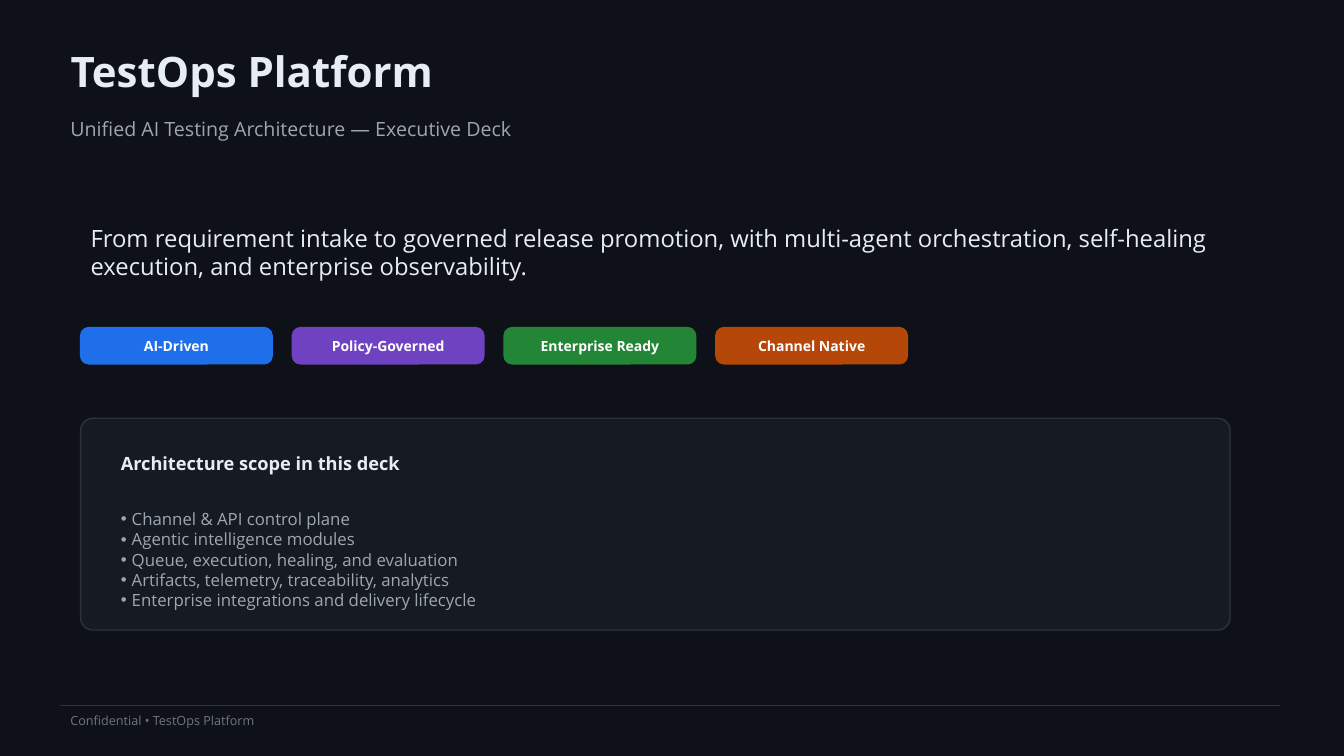
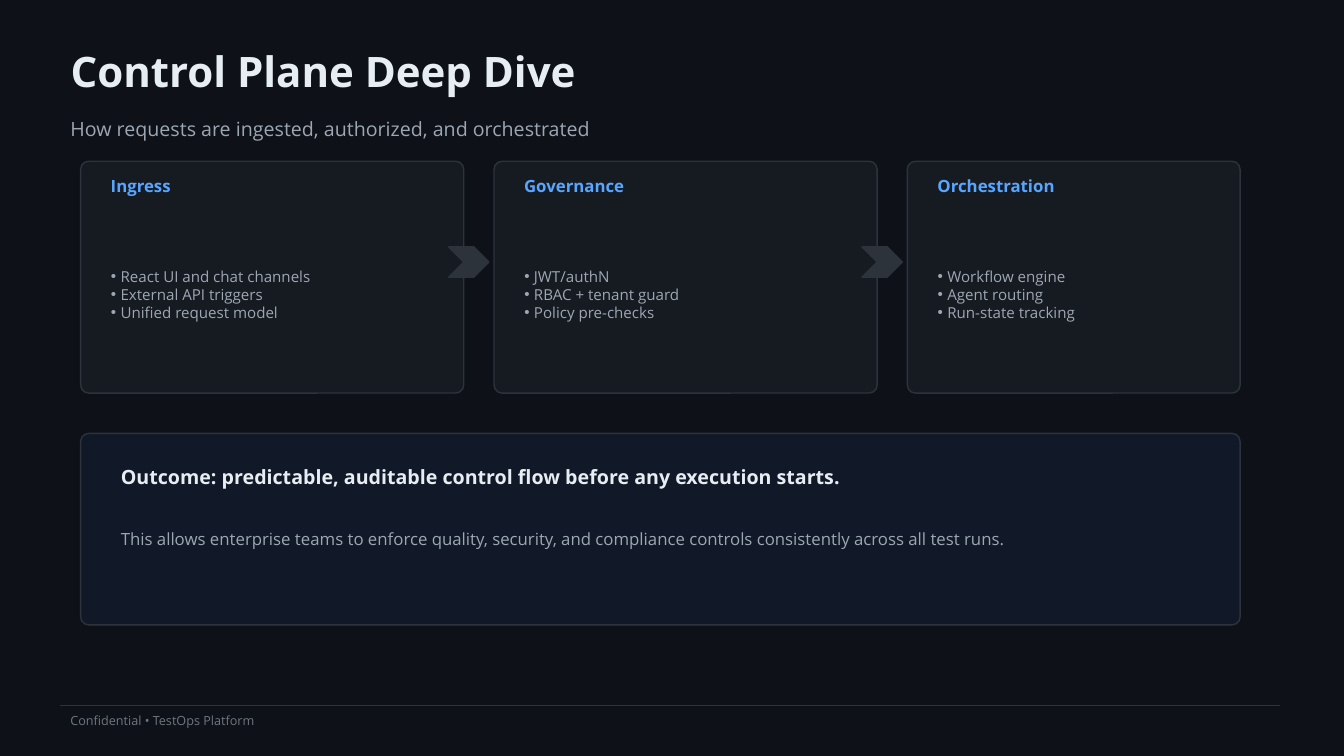
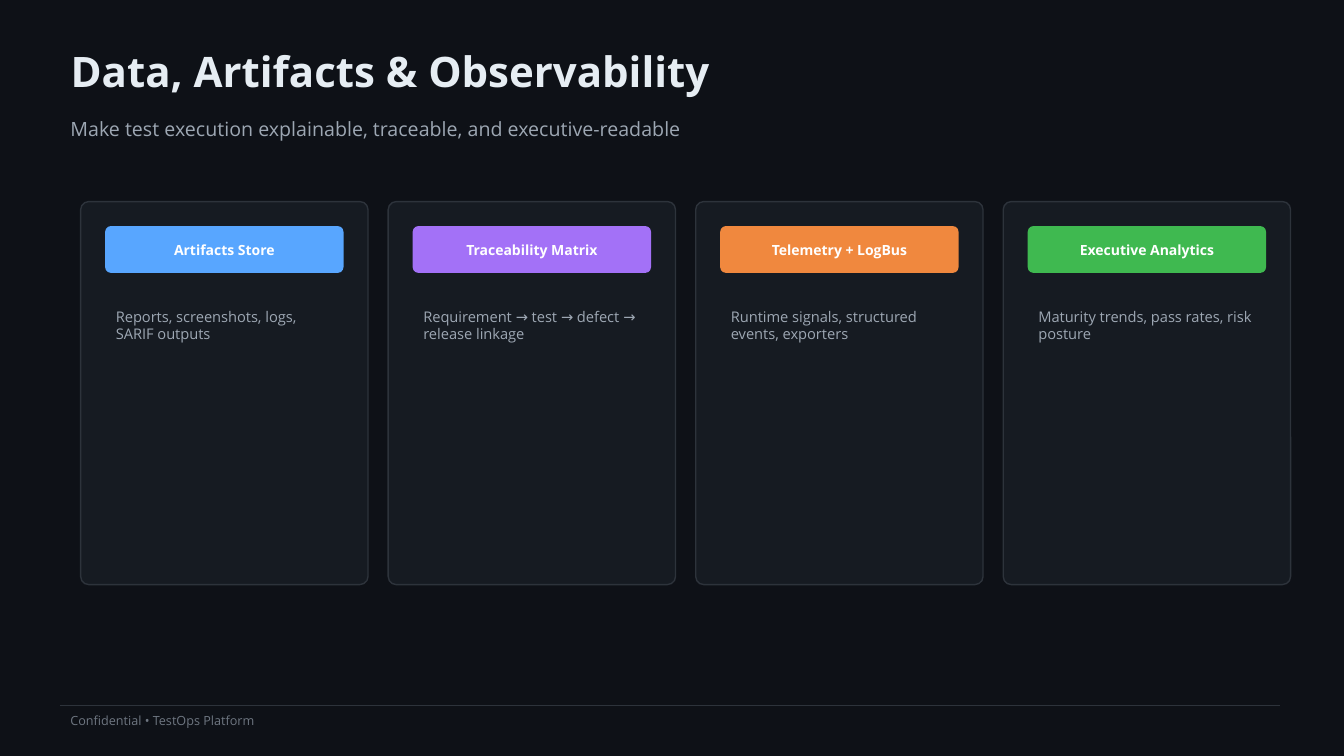
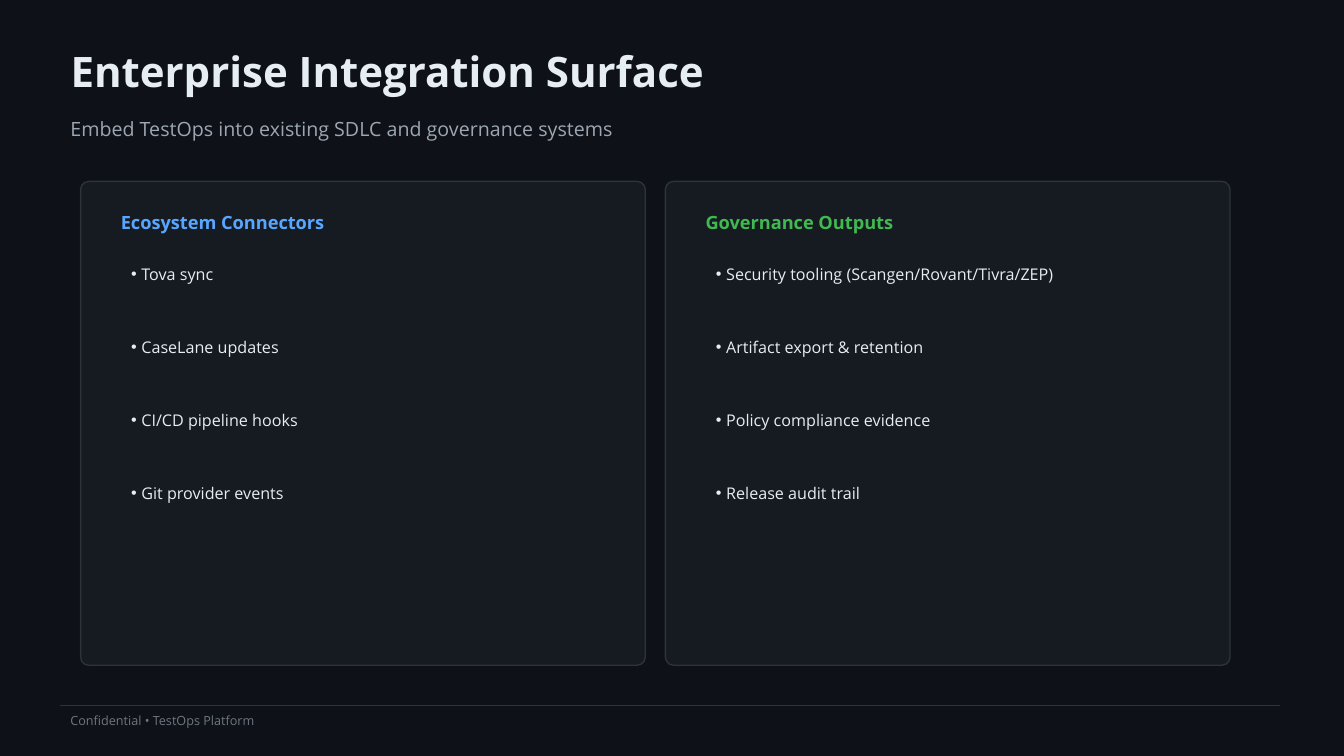
from lxml import etree
from pptx import Presentation
from pptx import util as u
from pptx.dml.color import RGBColor
from pptx.enum import shapes, text
from pptx.oxml import ns

FONT = "Open Sans"
HUE = {
    "back": "0E1117", "card": "161B22", "navy": "111827", "edge": "2D333B",
    "ink": "E6EDF3", "soft": "9DA7B3", "dim": "6E7681", "white": "FFFFFF",
    "sky": "58A6FF", "lilac": "A371F7", "amber": "F0883E", "leaf": "3FB950",
    "blue": "1F6FEB", "plum": "6F42C1", "green": "238636", "rust": "B54708",
}
MID = text.MSO_ANCHOR.MIDDLE
TOP = text.MSO_ANCHOR.TOP
LEFT = text.PP_ALIGN.LEFT
MIDST = text.PP_ALIGN.CENTER
ROUND = shapes.MSO_SHAPE.ROUNDED_RECTANGLE
CHEVRON = shapes.MSO_SHAPE.CHEVRON


def tint(name):
    return RGBColor.from_string(HUE[name])


def dot(para, size):
    props = para._p.get_or_add_pPr()
    hang = u.Pt(0.64 * size)
    props.set("marL", str(hang))
    props.set("indent", str(-hang))
    etree.SubElement(props, ns.qn("a:buChar")).set("char", "•")


def write(shape, lines, size=12, hue="soft", bold=False, align=LEFT,
          anchor=MID, list_=False, after=0):
    frame = shape.text_frame
    frame.word_wrap = True
    frame.auto_size = text.MSO_AUTO_SIZE.NONE
    frame.vertical_anchor = anchor
    frame.text = "\n".join(lines) if list_ else lines
    for para in frame.paragraphs:
        para.alignment = align
        para.space_before = u.Pt(0)
        para.space_after = u.Pt(after)
        if list_:
            dot(para, size)
        for run in para.runs:
            font = run.font
            font.name, font.size, font.bold = FONT, u.Pt(size), bold
            font.color.rgb = tint(hue)


def place(shape, box):
    shape.left, shape.top, shape.width, shape.height = map(u.Inches, box)


def label(slide, box, words, **style):
    write(slide.shapes.add_textbox(*map(u.Inches, box)), words, **style)


def bullets(slide, holder, box, items, **style):
    place(holder, box)
    holder.element.getparent().append(holder.element)
    write(holder, items, list_=True, **style)


def block(slide, box, fill="card", line="edge", kind=ROUND, curve=0.08):
    shape = slide.shapes.add_shape(kind, *map(u.Inches, box))
    shape.shadow.inherit = False
    shape.fill.solid()
    shape.fill.fore_color.rgb = tint(fill)
    shape.line.color.rgb = tint(line)
    shape.line.width = u.Pt(1)
    if kind == ROUND:
        shape.adjustments[0] = curve / min(box[2:])
    return shape


def pill(slide, box, words, hue, curve=0.08):
    shape = block(slide, box, hue, hue, curve=curve)
    write(shape, words, size=10, hue="white", bold=True, align=MIDST)


def start(deck, layout, title, sub):
    slide = deck.slides.add_slide(deck.slide_layouts.get_by_name(layout))
    place(slide.shapes.title, (0.6, 0.4, 12.2, 0.6))
    write(slide.shapes.title, title, size=30, hue="ink", bold=True)
    label(slide, (0.6, 1.05, 12.2, 0.45), sub, size=14)
    rule = slide.shapes.add_connector(
        shapes.MSO_CONNECTOR.STRAIGHT, *map(u.Inches, (0.6, 7, 12.7, 7)))
    rule.line.color.rgb = tint("edge")
    rule.line.width = u.Pt(1)
    etree.SubElement(rule.element.spPr, ns.qn("a:effectLst"))
    label(slide, (0.6, 7.05, 6, 0.2), "Confidential • TestOps Platform",
          size=9, hue="dim")
    return slide, list(slide.placeholders)[1:]


def cover(deck):
    slide, (body,) = start(deck, "Title and Content", "TestOps Platform",
                           "Unified AI Testing Architecture — Executive Deck")
    label(slide, (0.8, 2, 11.6, 1),
          "From requirement intake to governed release promotion, with "
          "multi-agent orchestration, self-healing execution, and enterprise "
          "observability.", size=17, hue="ink")
    tags = [("AI-Driven", "blue"), ("Policy-Governed", "plum"),
            ("Enterprise Ready", "green"), ("Channel Native", "rust")]
    for i, (words, hue) in enumerate(tags):
        pill(slide, (0.8 + 2.1 * i, 3.25, 1.9, 0.36), words, hue)
    block(slide, (0.8, 4.15, 11.4, 2.1), curve=0.12)
    label(slide, (1.1, 4.45, 4.5, 0.3), "Architecture scope in this deck",
          size=13, hue="ink", bold=True)
    bullets(slide, body, (1.1, 4.8, 10.6, 1.5), [
        "Channel & API control plane",
        "Agentic intelligence modules",
        "Queue, execution, healing, and evaluation",
        "Artifacts, telemetry, traceability, analytics",
        "Enterprise integrations and delivery lifecycle"])


def control(deck):
    slide, holders = start(
        deck, "Comparison", "Control Plane Deep Dive",
        "How requests are ingested, authorized, and orchestrated")
    stages = [
        ("Ingress", 3.8, ["React UI and chat channels",
                          "External API triggers", "Unified request model"]),
        ("Governance", 3.8, ["JWT/authN", "RBAC + tenant guard",
                             "Policy pre-checks"]),
        ("Orchestration", 3.3, ["Workflow engine", "Agent routing",
                                "Run-state tracking"]),
    ]
    for i, (head, wide, items) in enumerate(stages):
        x = 0.8 + 4.1 * i
        block(slide, (x, 1.6, wide, 2.3))
        label(slide, (x + 0.2, 1.72, wide - 0.4, 0.25), head,
              hue="sky", bold=True)
        bullets(slide, holders.pop(0), (x + 0.2, 2.02, wide - 0.4, 1.8),
                items, size=10.8)
    for i in range(len(stages) - 1):
        block(slide, (4.45 + 4.1 * i, 2.45, 0.4, 0.3), "edge", kind=CHEVRON)
    block(slide, (0.8, 4.3, 11.5, 1.9), "navy")
    label(slide, (1.1, 4.55, 10.8, 0.35),
          "Outcome: predictable, auditable control flow before any execution "
          "starts.", size=14, hue="ink", bold=True)
    label(slide, (1.1, 4.95, 10.8, 0.8),
          "This allows enterprise teams to enforce quality, security, and "
          "compliance controls consistently across all test runs.")
    for spare in holders:
        spare.element.getparent().remove(spare.element)


def data(deck):
    slide, _ = start(
        deck, "Title Only", "Data, Artifacts & Observability",
        "Make test execution explainable, traceable, and executive-readable")
    cards = [
        ("Artifacts Store", "sky", "Reports, screenshots, logs, SARIF outputs"),
        ("Traceability Matrix", "lilac",
         "Requirement → test → defect → release linkage"),
        ("Telemetry + LogBus", "amber",
         "Runtime signals, structured events, exporters"),
        ("Executive Analytics", "leaf",
         "Maturity trends, pass rates, risk posture"),
    ]
    for i, (head, hue, words) in enumerate(cards):
        x = 0.8 + 3.05 * i
        block(slide, (x, 2, 2.85, 3.8))
        pill(slide, (x + 0.25, 2.25, 2.35, 0.45), head, hue, curve=0.05)
        label(slide, (x + 0.25, 3, 2.35, 2.5), words, size=10.5, anchor=TOP)


def links(deck):
    slide, holders = start(
        deck, "Two Content", "Enterprise Integration Surface",
        "Embed TestOps into existing SDLC and governance systems")
    panels = [
        ("Ecosystem Connectors", "sky",
         ["Tova sync", "CaseLane updates", "CI/CD pipeline hooks",
          "Git provider events"]),
        ("Governance Outputs", "leaf",
         ["Security tooling (Scangen/Rovant/Tivra/ZEP)",
          "Artifact export & retention", "Policy compliance evidence",
          "Release audit trail"]),
    ]
    for i, (head, hue, items) in enumerate(panels):
        x = 0.8 + 5.8 * i
        block(slide, (x, 1.8, 5.6, 4.8))
        label(slide, (x + 0.3, 2.05, 5, 0.3), head, size=13, hue=hue,
              bold=True)
        bullets(slide, holders[i], (x + 0.4, 2.57, 4.9, 3.2), items,
                size=11.5, hue="ink", anchor=TOP, after=38.34)


def main():
    deck = Presentation()
    deck.slide_width, deck.slide_height = u.Inches(13.33), u.Inches(7.5)
    back = deck.slide_master.background.fill
    back.solid()
    back.fore_color.rgb = tint("back")
    for build in (cover, control, data, links):
        build(deck)
    deck.save("out.pptx")


if __name__ == "__main__":
    main()
